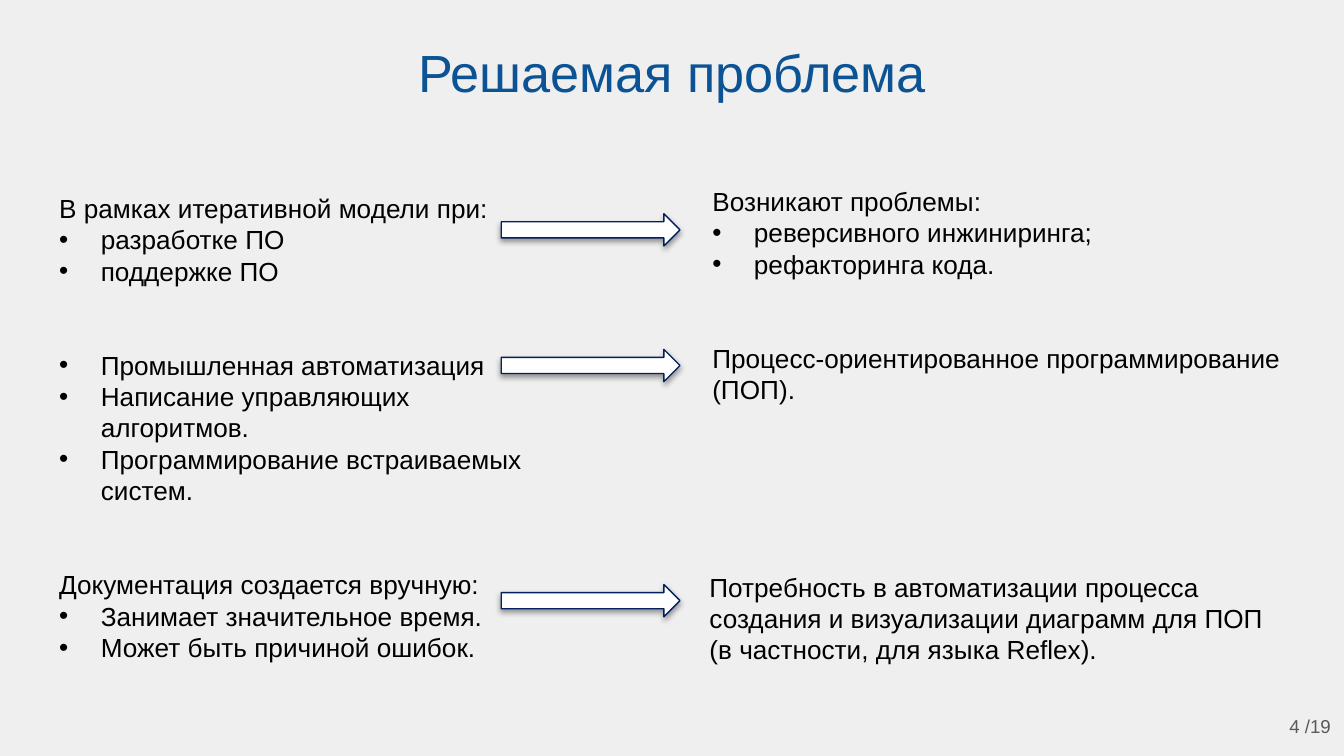
import pptx
import pptx.dml.color
import pptx.enum.shapes
import pptx.enum.text
import pptx.oxml
import pptx.oxml.ns
import pptx.util
from lxml import etree

ALIGN = pptx.enum.text.PP_ALIGN
ANCHOR = pptx.enum.text.MSO_ANCHOR
INK = {"page": "EFEFEF", "title": "0B5394", "text": "000000",
       "note": "595959", "arrow": "FFFFFF", "edge": "002060"}

# Each group is a lead line (or None) and its bullet items.
CAUSES = [
    ("В рамках итеративной модели при:", ["разработке ПО", "поддержке ПО"]),
    (None, ["Промышленная автоматизация", "Написание управляющих алгоритмов.",
            "Программирование встраиваемых систем."]),
    ("Документация создается вручную:",
     ["Занимает значительное время.", "Может быть причиной ошибок."]),
]
EFFECTS = [
    ("Возникают проблемы:", ["реверсивного инжиниринга;", "рефакторинга кода."]),
    ("Процесс-ориентированное программирование (ПОП).", []),
]
NEED = [("Потребность в автоматизации процесса создания и визуализации "
         "диаграмм для ПОП (в частности, для языка Reflex).", [])]


def color(name):
    return pptx.dml.color.RGBColor.from_string(INK[name])


def apply(item, **values):
    for key, value in values.items():
        setattr(item, key, value)


class Deck:
    """Holds the style and the slide; lengths are cells, 100 to the width."""

    face = "Arial"
    lead = 1.2
    indent = 3.1

    def __init__(self, wide, ratio):
        self.file = pptx.Presentation()
        apply(self.file, slide_width=pptx.util.Inches(wide),
              slide_height=pptx.util.Inches(wide * ratio))
        self.cell = self.file.slide_width / 100

    def size(self, cells):
        return pptx.util.Emu(round(cells * self.cell))

    def page(self, layout):
        self.slide = self.file.slides.add_slide(self.file.slide_layouts[layout])
        fill = self.slide.background.fill
        fill.solid()
        fill.fore_color.rgb = color("page")
        return self.slide.placeholders

    def box(self):
        return self.slide.shapes.add_textbox(0, 0, 0, 0)

    def place(self, shape, area):
        names = ("left", "top", "width", "height")
        apply(shape, **dict(zip(names, map(self.size, area))))

    def bullet(self, para, shown):
        props = para._p.get_or_add_pPr()
        step = self.size(self.indent) if shown else 0
        props.set("marL", str(step))
        props.set("indent", str(-step))
        tag = pptx.oxml.ns.qn
        if shown:
            tint = etree.SubElement(props, tag("a:buClr"))
            etree.SubElement(tint, tag("a:srgbClr"), val=INK["text"])
            etree.SubElement(props, tag("a:buChar"), char="•")
        else:
            etree.SubElement(props, tag("a:buNone"))

    def text(self, shape, area, groups, points=14, ink="text",
             align=ALIGN.LEFT, **frame):
        """Fills a shape with groups of lines, two empty lines apart."""
        self.place(shape, area)
        body = shape.text_frame
        apply(body, **{"word_wrap": True, "vertical_anchor": ANCHOR.TOP,
                       "auto_size": pptx.enum.text.MSO_AUTO_SIZE.NONE, **frame})
        line = pptx.util.Pt(points * self.lead)
        para = None
        for order, (head, items) in enumerate(groups):
            rows = ([(head, False)] if head else []) + [(i, True) for i in items]
            for spot, (words, dotted) in enumerate(rows):
                para = body.add_paragraph() if para else body.paragraphs[0]
                gap = 2 * line if order and not spot else 0
                apply(para, alignment=align, line_spacing=line,
                      space_before=pptx.util.Emu(gap),
                      space_after=pptx.util.Pt(0))
                self.bullet(para, dotted)
                run = para.add_run()
                run.text = words
                apply(run.font, name=self.face, size=pptx.util.Pt(points))
                run.font.color.rgb = color(ink)

    def arrow(self, area):
        kind = pptx.enum.shapes.MSO_SHAPE.RIGHT_ARROW
        shape = self.slide.shapes.add_shape(kind, 0, 0, 0, 0)
        self.place(shape, area)
        shape.fill.solid()
        shape.fill.fore_color.rgb = color("arrow")
        shape.line.color.rgb = color("edge")
        shape.line.width = pptx.util.Pt(0.75)
        shape.shadow.inherit = False
        effects = shape._element.spPr.find(pptx.oxml.ns.qn("a:effectLst"))
        effects.append(pptx.oxml.parse_xml(
            f'<a:outerShdw {pptx.oxml.ns.nsdecls("a")} blurRad="40000" '
            'dist="20000" dir="5400000" rotWithShape="0"><a:srgbClr val="000000">'
            '<a:alpha val="38000"/></a:srgbClr></a:outerShdw>'))


def main():
    deck = Deck(10, 9 / 16)
    title, left, right = deck.page(3)
    sides = ("left", "right", "top", "bottom")
    pad = {f"margin_{side}": deck.size(1) for side in sides}
    deck.text(title, (3.4, 2, 93.2, 5.4), [("Решаемая проблема", [])], 28,
              "title", ALIGN.CENTER, **pad)
    deck.text(left, (3.4, 13.8, 37.2, 38.7), CAUSES)
    deck.text(right, (52, 13.3, 44.4, 19.9), EFFECTS)
    deck.text(deck.box(), (51.8, 42, 44.9, 10.4), NEED)
    for top in (15.9, 26, 43.5):
        deck.arrow((37.3, top, 13.3, 2.4))
    deck.text(deck.box(), (94, 51.9, 6, 4.3), [("4 /19", [])], 10, "note",
              ALIGN.RIGHT, vertical_anchor=ANCHOR.MIDDLE, **pad)
    deck.file.save("out.pptx")


if __name__ == "__main__":
    main()
